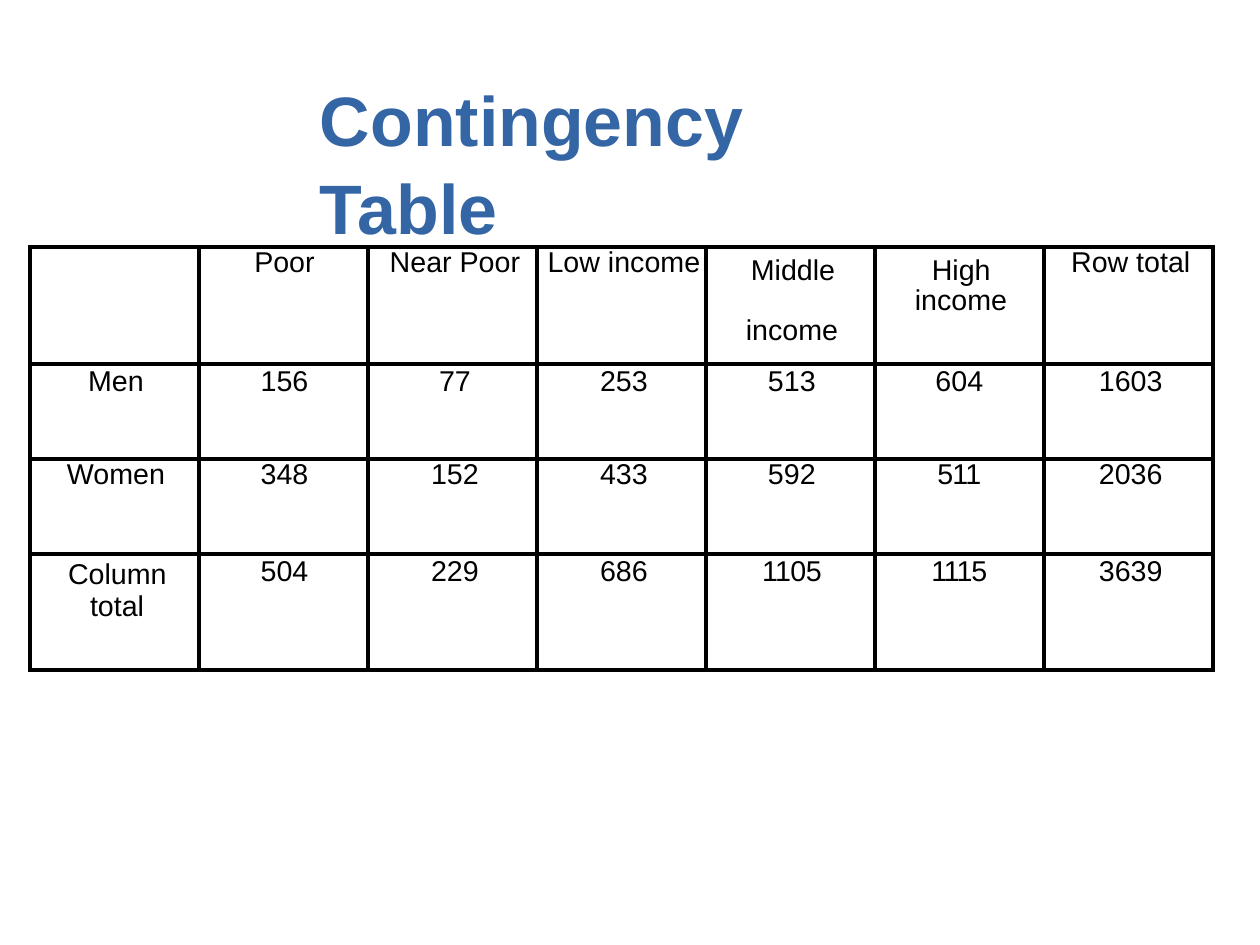
from pptx import Presentation
from pptx.dml.color import RGBColor
from pptx.enum.text import MSO_ANCHOR, PP_ALIGN
from pptx.oxml.ns import qn
from pptx.util import Pt
from lxml import etree

LEFT, CENTER = PP_ALIGN.LEFT, PP_ALIGN.CENTER
TOP = MSO_ANCHOR.TOP
PX = 7990  # EMU per px
FONT = "Arial"
COLORS = {"title": "3465A4", "text": "000000", "border": "000000"}

COLUMN_WIDTH = 169
ROW_HEIGHTS = [117, 95, 95, 116]
ROW_LINE_SPACING = [None, 21.3, None, 21.2]
COLUMN_INDENTS = [3, 2, 5, 5, 3, 0, 5]
ROWS = [
    ["", "Poor", "Near Poor", "Low income", "Middle income", "High income", "Row total"],
    ["Men", "156", "77", "253", "513", "604", "1603"],
    ["Women", "348", "152", "433", "592", "511", "2036"],
    ["Column total", "504", "229", "686", "1105", "1115", "3639"],
]
# Left-aligned labels: lines, top inset, left indent, first-line indent, line spacing
WRAPPED_LABELS = {
    "Middle income": (["Middle", "income"], 9, 40, 5, 19),
    "High income": (["High income"], 9, 40, 17, 19),
    "Column total": (["Column total"], 5, 60, -22, 20),
}
# Letter spacing in hundredths of a point
TIGHT_NUMBERS = {"511": -50, "1105": -40, "1115": -70}


def px(value):
    return round(value * PX)


def add_run(paragraph, text, size, color, bold=False, spacing=0):
    run = paragraph.add_run()
    run.text = text
    run.font.name = FONT
    run.font.size = Pt(size)
    run.font.bold = bold
    run.font.color.rgb = RGBColor.from_string(COLORS[color])
    if spacing:
        run.font._element.set("spc", str(spacing))


def indent(paragraph, left, first=0):
    properties = paragraph._p.get_or_add_pPr()
    properties.set("marL", str(px(left)))
    properties.set("indent", str(px(first)))


def add_title(slide):
    box = slide.shapes.add_textbox(px(319), px(69), px(624), px(170))
    frame = box.text_frame
    frame.word_wrap = True
    frame.vertical_anchor = TOP
    frame.margin_left = frame.margin_right = frame.margin_bottom = 0
    frame.margin_top = px(3)
    paragraph = frame.paragraphs[0]
    paragraph.line_spacing = 1.05
    indent(paragraph, 1)
    add_run(paragraph, "Contingency", 44, "title", bold=True)
    paragraph.add_line_break()
    add_run(paragraph, "Table", 44, "title", bold=True)


def style_cell(cell):
    cell.margin_left = cell.margin_right = cell.margin_top = cell.margin_bottom = 0
    cell.vertical_anchor = TOP
    properties = cell._tc.get_or_add_tcPr()
    for side in ("lnL", "lnR", "lnT", "lnB"):
        line = etree.SubElement(properties, qn(f"a:{side}"), w=str(Pt(3)))
        fill = etree.SubElement(line, qn("a:solidFill"))
        etree.SubElement(fill, qn("a:srgbClr"), val=COLORS["border"])
    cell.fill.background()


def write_centered(cell, text, left, line_spacing):
    paragraph = cell.text_frame.paragraphs[0]
    paragraph.alignment = CENTER
    indent(paragraph, left)
    if line_spacing:
        paragraph.line_spacing = Pt(line_spacing)
    add_run(paragraph, text, 18, "text", spacing=TIGHT_NUMBERS.get(text, 0))


def write_wrapped(cell, lines, top, left, first, line_spacing):
    cell.margin_top = px(top)
    frame = cell.text_frame
    for number, line in enumerate(lines):
        paragraph = frame.add_paragraph() if number else frame.paragraphs[0]
        paragraph.alignment = LEFT
        indent(paragraph, left, 0 if number else first)
        paragraph.line_spacing = Pt(line_spacing)
        if number:
            paragraph.space_before = Pt(line_spacing)
        add_run(paragraph, line, 18, "text")


def add_income_table(slide):
    column_count = len(ROWS[0])
    shape = slide.shapes.add_table(len(ROWS), column_count, px(30), px(247),
                                   px(COLUMN_WIDTH * column_count), px(sum(ROW_HEIGHTS)))
    table = shape.table
    table.first_row = table.horz_banding = False
    for column in table.columns:
        column.width = px(COLUMN_WIDTH)
    for row, height in zip(table.rows, ROW_HEIGHTS):
        row.height = px(height)
    for row_index, texts in enumerate(ROWS):
        for column_index, text in enumerate(texts):
            cell = table.cell(row_index, column_index)
            style_cell(cell)
            if text in WRAPPED_LABELS:
                write_wrapped(cell, *WRAPPED_LABELS[text])
            elif text:
                write_centered(cell, text, COLUMN_INDENTS[column_index],
                               ROW_LINE_SPACING[row_index])


def main():
    presentation = Presentation()
    presentation.slide_width, presentation.slide_height = px(1260), px(945)
    slide = presentation.slides.add_slide(presentation.slide_layouts[6])
    # Heading
    add_title(slide)
    # Counts by sex and income group
    add_income_table(slide)
    presentation.save("out.pptx")


if __name__ == "__main__":
    main()
